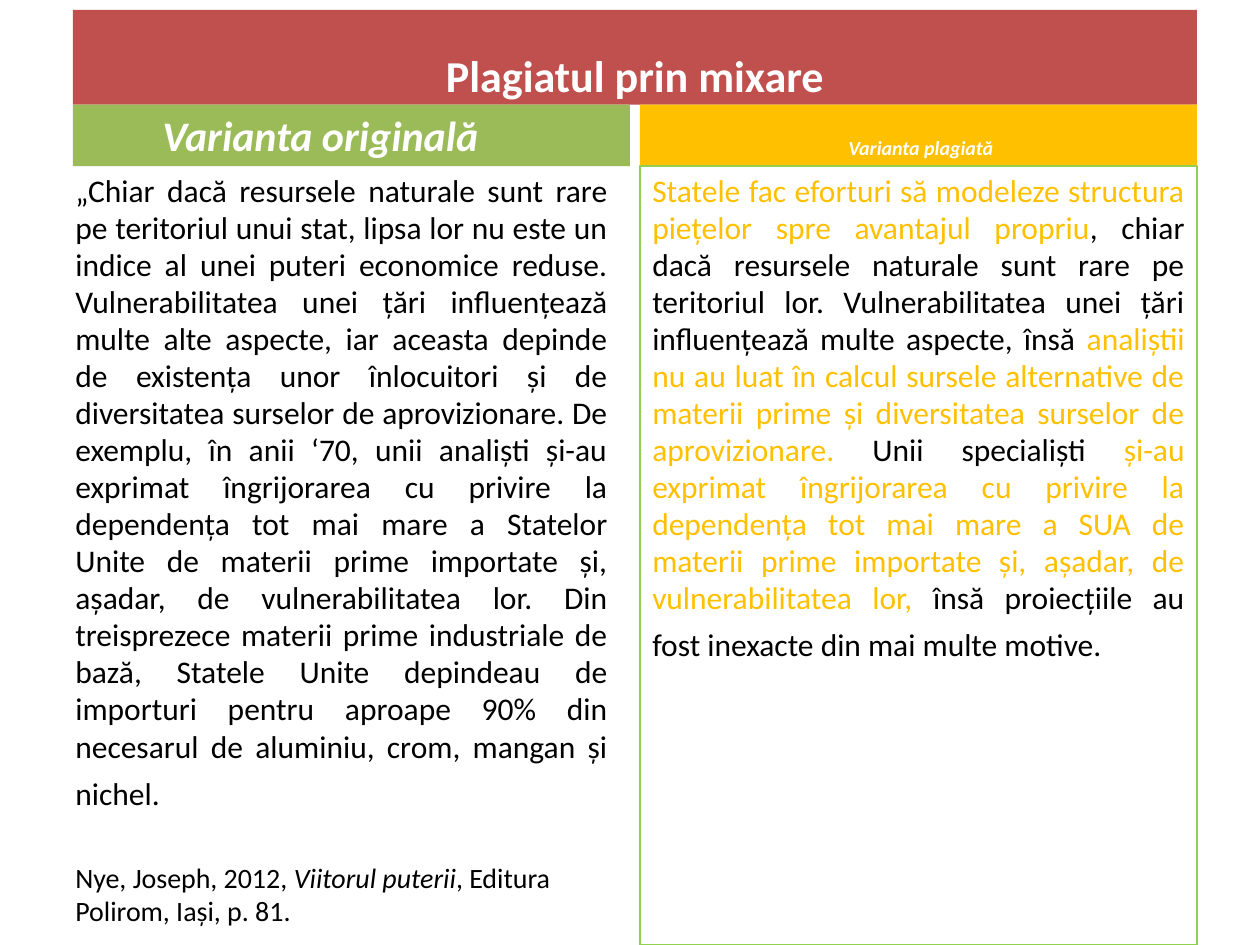
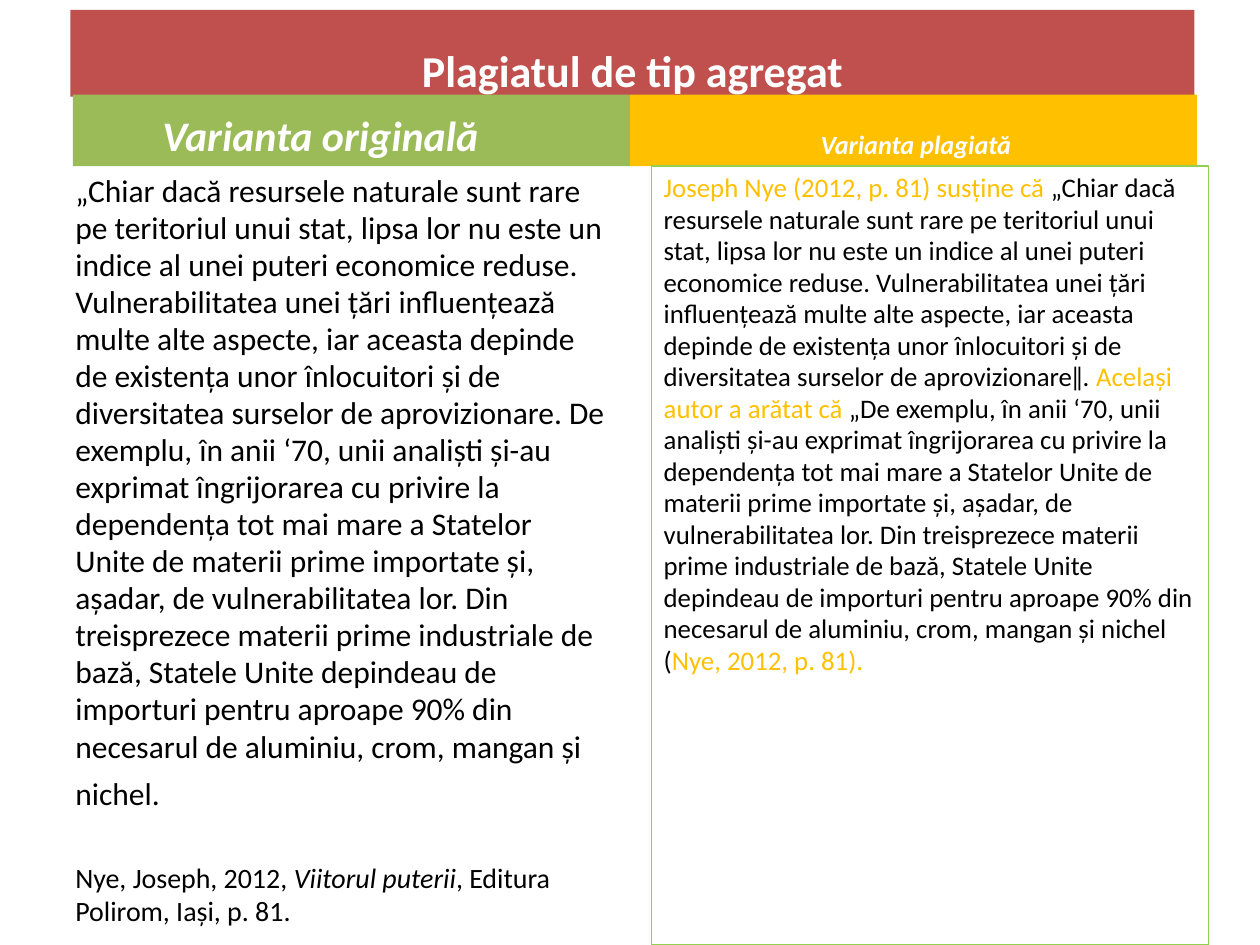
from pptx import Presentation
from pptx.dml.color import RGBColor
from pptx.enum.shapes import MSO_SHAPE
from pptx.enum.text import MSO_ANCHOR, PP_ALIGN
from pptx.util import Cm, Pt

RECT = MSO_SHAPE.RECTANGLE
TOP, BOTTOM = MSO_ANCHOR.TOP, MSO_ANCHOR.BOTTOM
LEFT, CENTER, JUSTIFY = PP_ALIGN.LEFT, PP_ALIGN.CENTER, PP_ALIGN.JUSTIFY

RED = RGBColor(0xC0, 0x50, 0x4D)
GREEN = RGBColor(0x9B, 0xBB, 0x59)
GOLD = RGBColor(0xFF, 0xC0, 0x00)
LIME = RGBColor(0x92, 0xD0, 0x50)
WHITE = RGBColor(0xFF, 0xFF, 0xFF)
BLACK = RGBColor(0, 0, 0)

FONT = "Calibri"
EDGE = 1.47
COLUMN = 11.23
BODY_TOP = 3.35
BODY_HIGH = 15.7

RARE = (
    "„Chiar dacă resursele naturale sunt rare pe teritoriul unui stat, lipsa lor "
    "nu este un indice al unei puteri economice reduse. Vulnerabilitatea unei țări "
    "influențează multe alte aspecte, iar aceasta depinde de existența unor "
    "înlocuitori și de diversitatea surselor de aprovizionare"
)
CASE = (
    "De exemplu, în anii ‘70, unii analiști și-au exprimat îngrijorarea cu privire "
    "la dependența tot mai mare a Statelor Unite de materii prime importate și, "
    "așadar, de vulnerabilitatea lor. Din treisprezece materii prime industriale de "
    "bază, Statele Unite depindeau de importuri pentru aproape 90% din necesarul de "
    "aluminiu, crom, mangan și nichel"
)
MIXED = [
    ("Statele fac eforturi să modeleze structura piețelor spre avantajul propriu", GOLD),
    (", chiar dacă resursele naturale sunt rare pe teritoriul lor. Vulnerabilitatea "
     "unei țări influențează multe aspecte, însă ", BLACK),
    ("analiștii nu au luat în calcul sursele alternative de materii prime și "
     "diversitatea surselor de aprovizionare. ", GOLD),
    ("Unii specialiști ", BLACK),
    ("și-au exprimat îngrijorarea cu privire la dependența tot mai mare a SUA de "
     "materii prime importate și, așadar, de vulnerabilitatea lor, ", GOLD),
    ("însă proiecțiile au fost inexacte din mai multe motive.", BLACK),
]
JOINED = [
    ("Joseph Nye (2012, p. 81) susține că ", GOLD),
    (RARE + "‖. ", BLACK),
    ("Același autor a arătat că ", GOLD),
    ("„" + CASE + " (", BLACK),
    ("Nye, 2012, p. 81).", GOLD),
]


def write(para, text, size=18, color=BLACK, bold=False, italic=False):
    run = para.add_run()
    run.text = text
    font = run.font
    font.name, font.size = FONT, Pt(size)
    font.bold, font.italic = bold, italic
    font.color.rgb = color


def panel(slide, box, fill=None, line=None, anchor=TOP, left=0.25, right=0.25, foot=0.13):
    shape = slide.shapes.add_shape(RECT, *map(Cm, box))
    shape.shadow.inherit = False
    if fill is None:
        shape.fill.background()
    else:
        shape.fill.solid()
        shape.fill.fore_color.rgb = fill
    if line is None:
        shape.line.fill.background()
    else:
        shape.line.color.rgb = line
        shape.line.width = Pt(0.75)
    frame = shape.text_frame
    frame.word_wrap = True
    frame.vertical_anchor = anchor
    frame.margin_left, frame.margin_right = Cm(left), Cm(right)
    frame.margin_top, frame.margin_bottom = Cm(0.13), Cm(foot)
    return frame


def band(slide, box, text, fill, size, italic=True, **inset):
    para = panel(slide, box, fill, anchor=BOTTOM, **inset).paragraphs[0]
    para.alignment = CENTER
    write(para, text, size, WHITE, bold=True, italic=italic)


def body(slide, box, parts, align, size=18, tall=True, line=None):
    frame = panel(slide, box, line=line)
    para = frame.paragraphs[0]
    para.alignment = align
    para.line_spacing = 0.98
    for text, color in parts:
        write(para, text, size, color)
    if tall:
        write(para, " ", 24)
    return frame


def cite(frame):
    para = frame.add_paragraph()
    para.alignment = LEFT
    para.space_before = Pt(26)
    write(para, "Nye, Joseph, 2012, ", 16)
    write(para, "Viitorul puterii", 16, italic=True)
    write(para, ", Editura Polirom, Iași, p. 81.", 16)


def compare(deck, title, head, foot, top, small, tab, copy_left, parts, align, size, tall):
    slide = deck.slides.add_slide(deck.slide_layouts[6])
    high = BODY_TOP - top
    band(slide, head, title, RED, 25.2, italic=False, foot=foot)
    band(slide, (EDGE, top, COLUMN, high), "Varianta originală", GREEN, 24, right=1.5)
    source = body(slide, (1.27, BODY_TOP, COLUMN, BODY_HIGH),
                  [(RARE + ". " + CASE + ".", BLACK)], align)
    cite(source)
    band(slide, (tab[0], top, tab[1], high), "Varianta plagiată", GOLD, small, left=0.35)
    body(slide, (copy_left, BODY_TOP, COLUMN, BODY_HIGH), parts, align, size, tall, LIME)


def main():
    deck = Presentation()
    deck.slide_width, deck.slide_height = Cm(25.4), Cm(19.05)
    compare(deck, "Plagiatul prin mixare", head=(EDGE, 0.2, 22.66, 1.91), foot=0.07,
            top=2.11, small=11.4, tab=(12.9, COLUMN), copy_left=12.9,
            parts=MIXED, align=JUSTIFY, size=18, tall=True)
    compare(deck, "Plagiatul de tip agregat", head=(1.42, 0.2, 22.66, 1.75), foot=0,
            top=1.91, small=15, tab=(12.7, 11.43), copy_left=13.13,
            parts=JOINED, align=LEFT, size=15.3, tall=False)
    deck.save("out.pptx")


if __name__ == "__main__":
    main()
